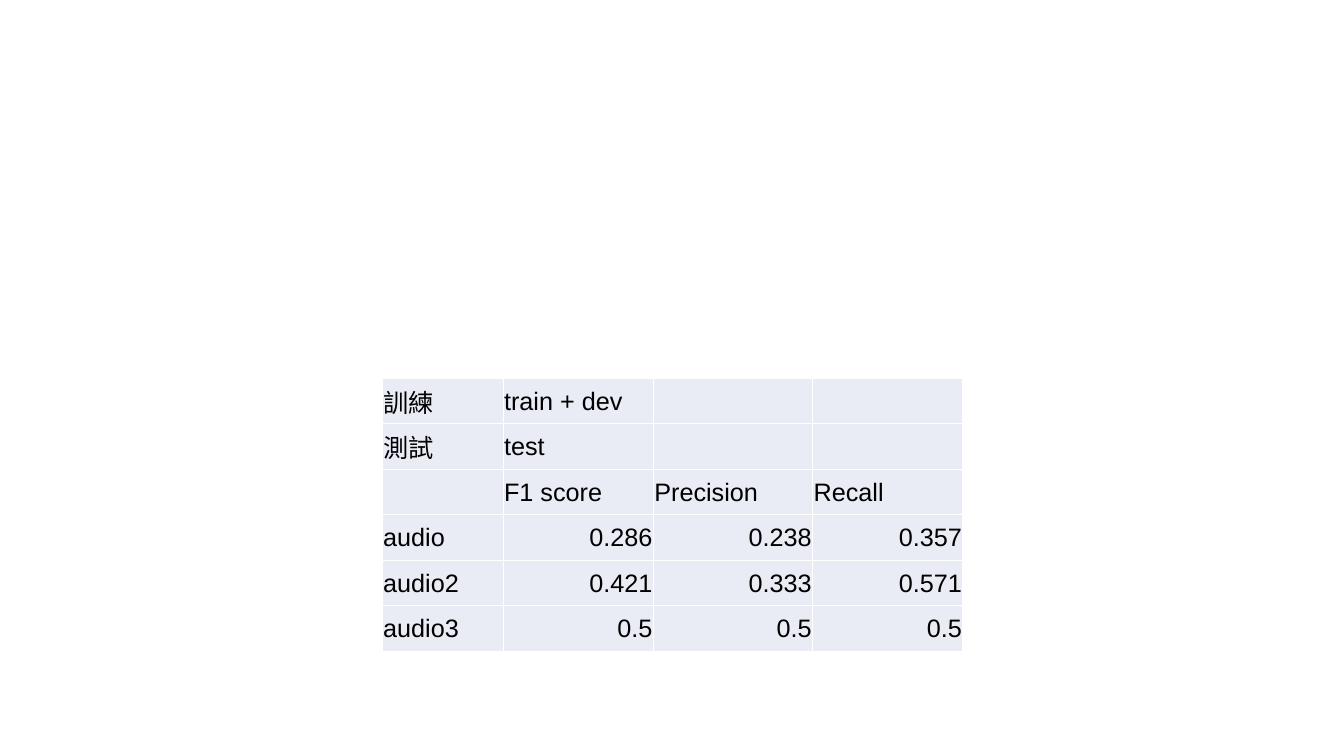
from lxml import etree
from pptx import Presentation
from pptx.dml.color import RGBColor
from pptx.enum import text
from pptx.oxml import ns
from pptx.util import Inches, Pt

WIDTHS = [1.2, 1.49, 1.58, 1.49]
HEIGHT = 0.452
ROWS = [
    ["訓練", "train + dev", "", ""],
    ["測試", "test", "", ""],
    ["", "F1 score", "Precision", "Recall"],
    ["audio", "0.286", "0.238", "0.357"],
    ["audio2", "0.421", "0.333", "0.571"],
    ["audio3", "0.5", "0.5", "0.5"],
]
FORMAT = {
    "margin_left": Inches(0.01),
    "margin_right": Inches(0.01),
    "margin_top": Inches(0.01),
    "margin_bottom": 0,
    "vertical_anchor": text.MSO_ANCHOR.MIDDLE,
}
FONT = {"size": Pt(18), "name": "Arial", "bold": False}


def paint(fill, color):
    fill.solid()
    fill.fore_color.rgb = RGBColor.from_string(color)


def apply(target, values):
    for name, value in values.items():
        setattr(target, name, value)


def border(cell, color, width):
    props = cell._tc.get_or_add_tcPr()
    for side in "LRTB":
        line = etree.SubElement(props, ns.qn(f"a:ln{side}"), w=str(Pt(width)))
        solid = etree.SubElement(line, ns.qn("a:solidFill"))
        etree.SubElement(solid, ns.qn("a:srgbClr"), val=color)


def write(cell, words, align):
    apply(cell, FORMAT)
    border(cell, "FFFFFF", 1)
    paint(cell.fill, "E9EBF5")
    cell.text = words
    para = cell.text_frame.paragraphs[0]
    para.alignment = align
    apply(para.font, FONT)
    paint(para.font.fill, "000000")


def scores(slide, left, top):
    """Add the table of scores, with its numbers set to the right."""
    frame = slide.shapes.add_table(
        len(ROWS), len(WIDTHS), Inches(left), Inches(top),
        Inches(sum(WIDTHS)), Inches(HEIGHT * len(ROWS)))
    table = frame.table
    apply(table, {"first_row": False, "horz_banding": False})
    for col, width in zip(table.columns, WIDTHS):
        col.width = Inches(width)
    for row, line in zip(table.rows, ROWS):
        row.height = Inches(HEIGHT)
        for cell, words in zip(row.cells, line):
            number = words[:1].isdigit()
            write(cell, words, text.PP_ALIGN.RIGHT if number else text.PP_ALIGN.LEFT)


def main():
    deck = Presentation()
    apply(deck, {"slide_width": Inches(13.33), "slide_height": Inches(7.5)})
    slide = deck.slides.add_slide(deck.slide_layouts[6])
    scores(slide, 3.79, 3.75)
    deck.save("out.pptx")


if __name__ == "__main__":
    main()
